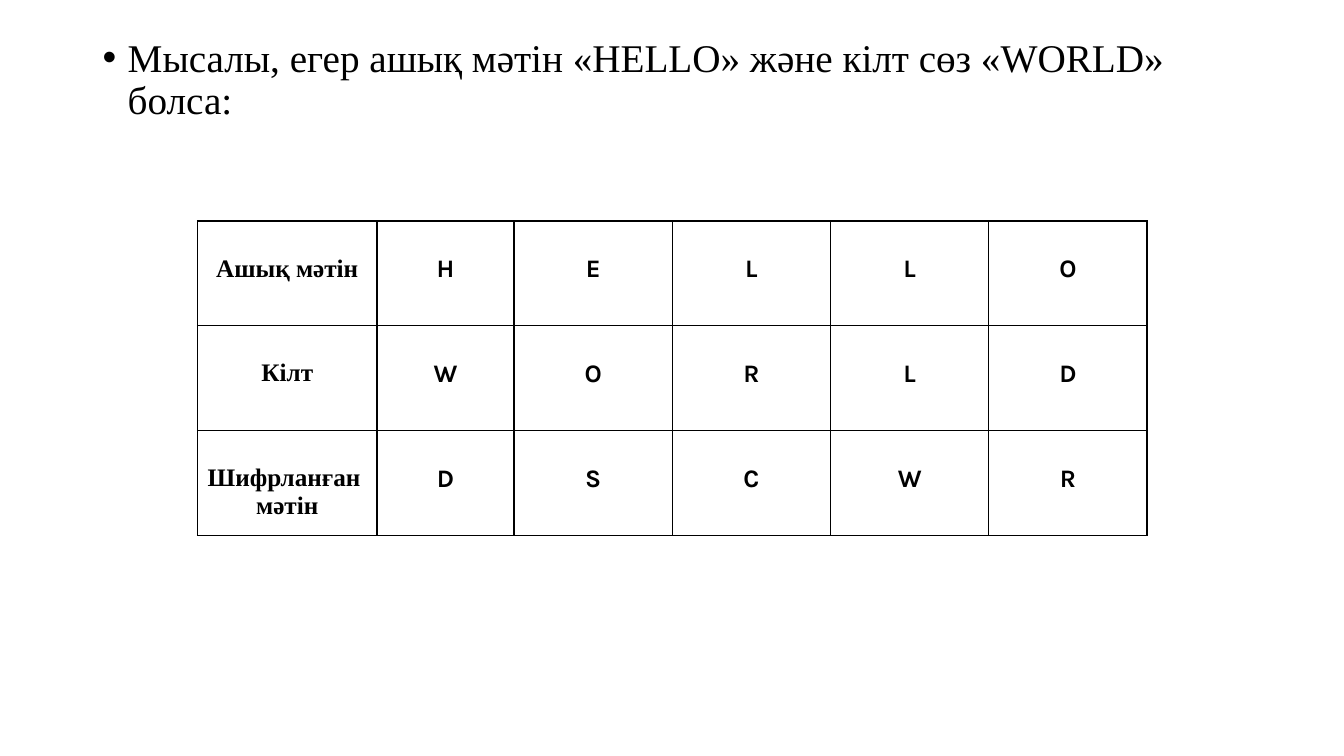
import pptx
import pptx.dml.color
import pptx.enum.text
import pptx.oxml
import pptx.oxml.ns
import pptx.util

Pt = pptx.util.Pt
ALIGN = pptx.enum.text.PP_ALIGN
BLACK = "000000"
SERIF = "Times New Roman"
SANS = "Karla"

INTRO = "Мысалы, егер ашық мәтін «HELLO» және кілт сөз «WORLD» болса:"
CIPHER_ROWS = [
    (["Ашық мәтін"], "HELLO"),
    (["Кілт"], "WORLD"),
    (["Шифрланған ", "мәтін"], "DSCWR"),
]
COLUMN_WIDTHS = [128.2, 97.9] + [113.05] * 4
ROW_HEIGHT = 74.9
CELL_TOP_MARGIN = 24


def color(value):
    return pptx.dml.color.RGBColor.from_string(value)


def xml_element(markup):
    namespace = pptx.oxml.ns.nsdecls("a")
    return pptx.oxml.parse_xml(markup.replace(" ", f" {namespace} ", 1))


def set_format(target, values):
    for name, value in values.items():
        setattr(target, name, value)


def write(para, text, font_name, size, bold=False):
    span = para.add_run()
    span.text = text
    set_format(span.font, {"name": font_name, "size": Pt(size), "bold": bold})
    span.font.color.rgb = color(BLACK)


def add_bullet_text(page, text, left, top, width, height):
    box = page.shapes.add_textbox(Pt(left), Pt(top), Pt(width), Pt(height))
    box.text_frame.word_wrap = True
    para = box.text_frame.paragraphs[0]
    properties = para._p.get_or_add_pPr()
    set_format(para, {"line_spacing": 0.9})
    properties.set("marL", str(Pt(18)))
    properties.set("indent", str(-Pt(18)))
    properties.append(xml_element('<a:buFont typeface="Arial"/>'))
    properties.append(xml_element('<a:buChar char="•"/>'))
    write(para, text, SERIF, 28)


def add_borders(cell):
    properties = cell._tc.get_or_add_tcPr()
    for position, side in enumerate(("lnL", "lnR", "lnT", "lnB")):
        line = xml_element(
            f'<a:{side} w="{Pt(1)}"><a:solidFill><a:srgbClr val="{BLACK}"/>'
            f"</a:solidFill></a:{side}>"
        )
        properties.insert(position, line)


def fill_cell(cell, lines, font_name):
    cell.fill.background()
    cell.margin_top = Pt(CELL_TOP_MARGIN)
    add_borders(cell)
    frame = cell.text_frame
    for index, line in enumerate(lines):
        para = frame.add_paragraph() if index else frame.paragraphs[0]
        para.alignment = ALIGN.CENTER
        write(para, line, font_name, 18, bold=True)


def add_cipher_table(page, left, top):
    table = page.shapes.add_table(
        len(CIPHER_ROWS), len(COLUMN_WIDTHS), Pt(left), Pt(top),
        Pt(sum(COLUMN_WIDTHS)), Pt(ROW_HEIGHT * len(CIPHER_ROWS)),
    ).table
    set_format(table, {"first_row": False, "horz_banding": False})
    for column, width in zip(table.columns, COLUMN_WIDTHS):
        column.width = Pt(width)
    for row, (label, letters) in zip(table.rows, CIPHER_ROWS):
        row.height = Pt(ROW_HEIGHT)
        fill_cell(row.cells[0], label, SERIF)
        for column_index, letter in enumerate(letters, start=1):
            fill_cell(row.cells[column_index], [letter], SANS)


def main():
    deck = pptx.Presentation()
    set_format(deck, {"slide_width": Pt(960), "slide_height": Pt(540)})
    page = deck.slides.add_slide(deck.slide_layouts[6])

    # Introductory bullet
    add_bullet_text(page, INTRO, 66.2, 24, 828, 83.5)

    # Plain text, key and encrypted text
    add_cipher_table(page, 141.1, 157.8)

    deck.save("out.pptx")


if __name__ == "__main__":
    main()
